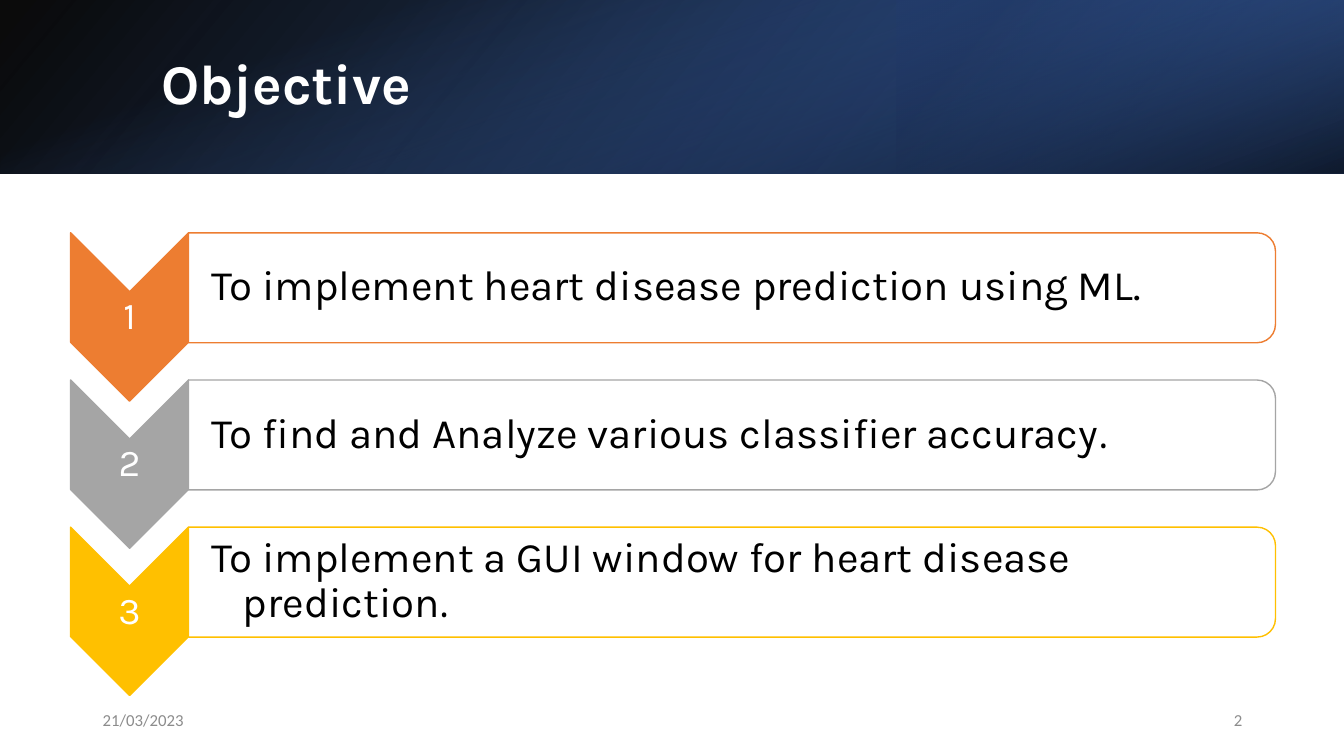
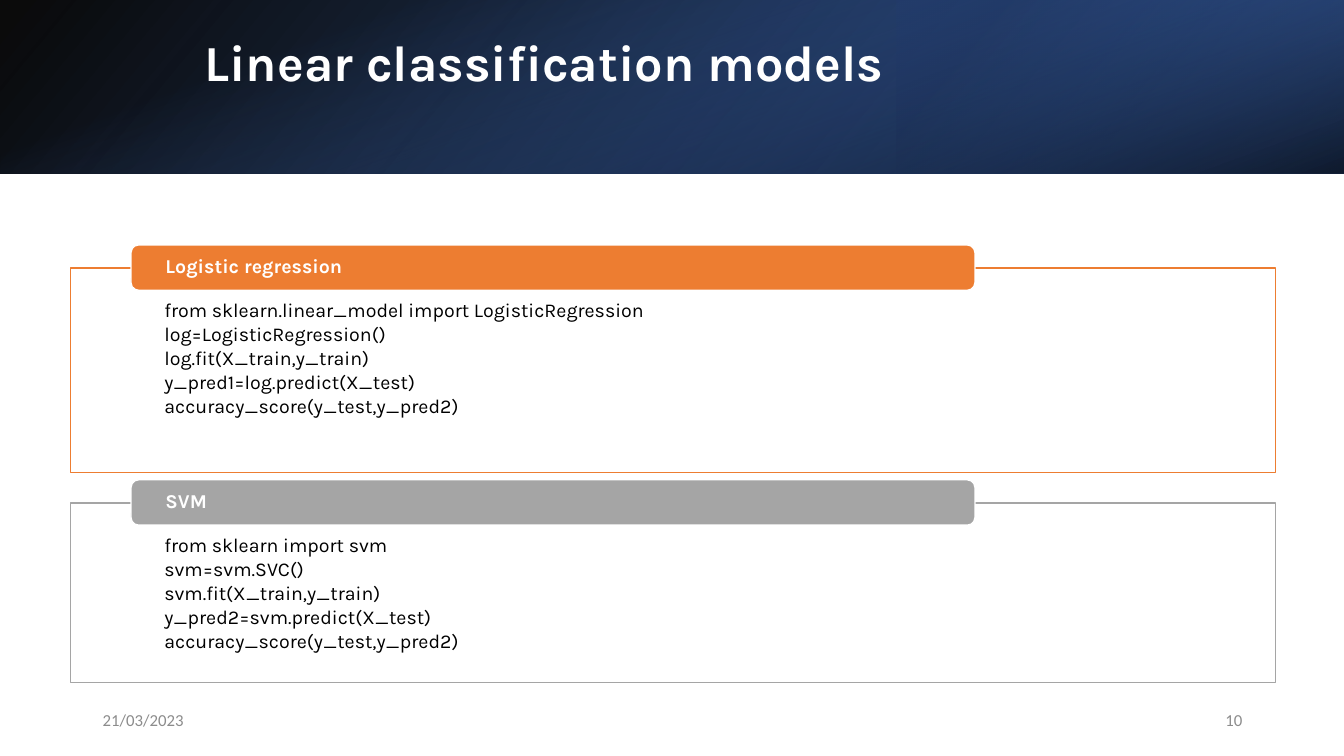
"""Build two slides on heart disease prediction with a shared gradient band."""
from dataclasses import dataclass
from lxml.etree import SubElement
from pptx import Presentation
from pptx.dml.color import RGBColor as RGB
from pptx.enum.shapes import MSO_SHAPE as Kind
from pptx.enum.text import MSO_ANCHOR as Anchor, PP_ALIGN as Align
from pptx.oxml.ns import qn
from pptx.util import Inches, Pt


@dataclass(frozen=True)
class Theme:
    font: str = "Karla"
    small: str = "Calibri"
    dot: str = "Cambria"
    white: str = "FFFFFF"
    black: str = "000000"
    gray: str = "8C8C8C"
    tints: tuple = ("ED7D31", "A5A5A5", "FFC000")
    title: int = 40
    long: int = 36
    body: int = 30
    digit: int = 27
    code: int = 14
    foot: int = 12


look = Theme()


def draw(slide, kind, box, fill=None, line=None, turn=0):
    """Add a shape that covers the box once turned, or a text box without a kind."""
    x, y, w, h = box
    if turn == 90:
        x, y, w, h = x + (w - h) / 2, y + (h - w) / 2, h, w
    place = [Inches(v) for v in (x, y, w, h)]
    if kind is None:
        return slide.shapes.add_textbox(*place)
    shape = slide.shapes.add_shape(kind, *place)
    shape.rotation = turn
    shape.shadow.inherit = False
    if fill:
        shape.fill.solid()
        shape.fill.fore_color.rgb = RGB.from_string(fill)
    if line:
        shape.line.color.rgb = RGB.from_string(line)
        shape.line.width = Pt(1)
    else:
        shape.line.fill.background()
    return shape


def write(shape, text, size, color, font=look.font, bold=False, align=Align.LEFT,
          anchor=Anchor.MIDDLE, pads=(0.1, 0.05, 0.1, 0.05), hang=0, after=0):
    """Fill a shape with one paragraph per line of text."""
    frame = shape.text_frame
    frame.text = text
    frame.word_wrap = True
    frame.vertical_anchor = anchor
    frame.margin_left, frame.margin_top, frame.margin_right, frame.margin_bottom = map(Inches, pads)
    for para in frame.paragraphs:
        para.alignment = align
        para.line_spacing = 0.9
        para.space_after = Pt(after)
        if hang:
            props = para._p.get_or_add_pPr()
            props.set("marL", str(Inches(hang)))
            props.set("indent", str(-Inches(hang)))
        for run in para.runs:
            run.font.name = font
            run.font.size = Pt(size)
            run.font.bold = bold
            run.font.color.rgb = RGB.from_string(color)
    return frame


deck = Presentation()
deck.slide_width, deck.slide_height = Inches(13.33), Inches(7.5)

bands = [
    ((0, 0, 13.33, 1.72), 0, True, 140, [(0, "000000", 96), (100, "2F5597", 100)]),
    ((8.89, 0, 4.44, 1.72), 180, True, 320, [(19, "203864", 68), (100, "4472C4", 79)]),
    ((0, 0, 13.33, 1.72), 90, False, 340, [(23, "4472C4", 0), (99, "000000", 74)]),
]
heads = [
    ("Objective", look.title, 1.5, 0.38, "2"),
    ("Linear classification models", look.long, 1.93, 0.17, "10"),
]
pages = []
for title, size, left, top, number in heads:
    page = deck.slides.add_slide(deck.slide_layouts[6])
    pages.append(page)
    for box, turn, flip, angle, stops in bands:
        band = draw(page, Kind.RECTANGLE, box, turn=turn)
        if flip:
            band._element.spPr.xfrm.set("flipH", "1")
        band.fill.gradient()
        band.fill.gradient_angle = 360 - angle
        for stop, (spot, color, _) in zip(band.fill.gradient_stops, stops):
            stop.position = spot / 100
            stop.color.rgb = RGB.from_string(color)
        for node, (_, _, alpha) in zip(band._element.spPr.iter(qn("a:srgbClr")), stops):
            SubElement(node, qn("a:alpha"), val=str(alpha * 1000))
    write(draw(page, None, (left, top, 10.98, 0.96)), title, size, look.white, bold=True)
    for x, text, align in [(9.42, number, Align.RIGHT), (0.92, "21/03/2023", Align.LEFT)]:
        write(draw(page, None, (x, 6.95, 3, 0.4)), text, look.foot, look.gray,
              font=look.small, align=align)

goals = [
    ("To implement heart disease prediction using ML.", ""),
    ("To find and Analyze various classifier accuracy", "."),
    ("To implement a GUI window for heart disease prediction", "."),
]
for i, ((goal, end), tint) in enumerate(zip(goals, look.tints)):
    y = 2.31 + 1.46 * i
    draw(pages[0], Kind.CHEVRON, (0.7, y, 1.17, 1.67), tint, tint, 90)
    write(draw(pages[0], None, (0.7, y + 0.59, 1.17, 0.5)), str(i + 1), look.digit,
          look.white, align=Align.CENTER, pads=(0.02,) * 4)
    draw(pages[0], Kind.ROUND_2_SAME_RECTANGLE, (1.87, y, 10.78, 1.09), look.white, tint, 90)
    frame = write(draw(pages[0], None, (1.87, y + 0.05, 10.73, 0.98)), goal, look.body,
                  look.black, pads=(0.23, 0.02, 0.02, 0.02), hang=0.31)
    if end:
        run = frame.paragraphs[0].add_run()
        run.text = end
        run.font.name = look.dot
        run.font.size = Pt(look.body)
        run.font.color.rgb = RGB.from_string(look.black)

models = [
    ("Logistic regression", 2.66, 2.03, """from sklearn.linear_model import LogisticRegression
log=LogisticRegression()
log.fit(X_train,y_train)
y_pred1=log.predict(X_test)
accuracy_score(y_test,y_pred2)"""),
    ("SVM", 4.99, 1.78, """from sklearn import svm
svm=svm.SVC()
svm.fit(X_train,y_train)
y_pred2=svm.predict(X_test)
accuracy_score(y_test,y_pred2)"""),
]
for (name, y, h, code), tint in zip(models, look.tints):
    panel = draw(pages[1], Kind.RECTANGLE, (0.7, y, 11.95, h), look.white, tint)
    write(panel, code, look.code, look.black, anchor=Anchor.TOP,
          pads=(0.93, 0.32, 0.93, 0.11), hang=0.12, after=2.1)
    label = draw(pages[1], Kind.ROUNDED_RECTANGLE, (1.3, y - 0.23, 8.37, 0.45), tint, look.white)
    write(label, name, look.code, look.white, bold=True, pads=(0.32, 0, 0.32, 0))

deck.save("out.pptx")
